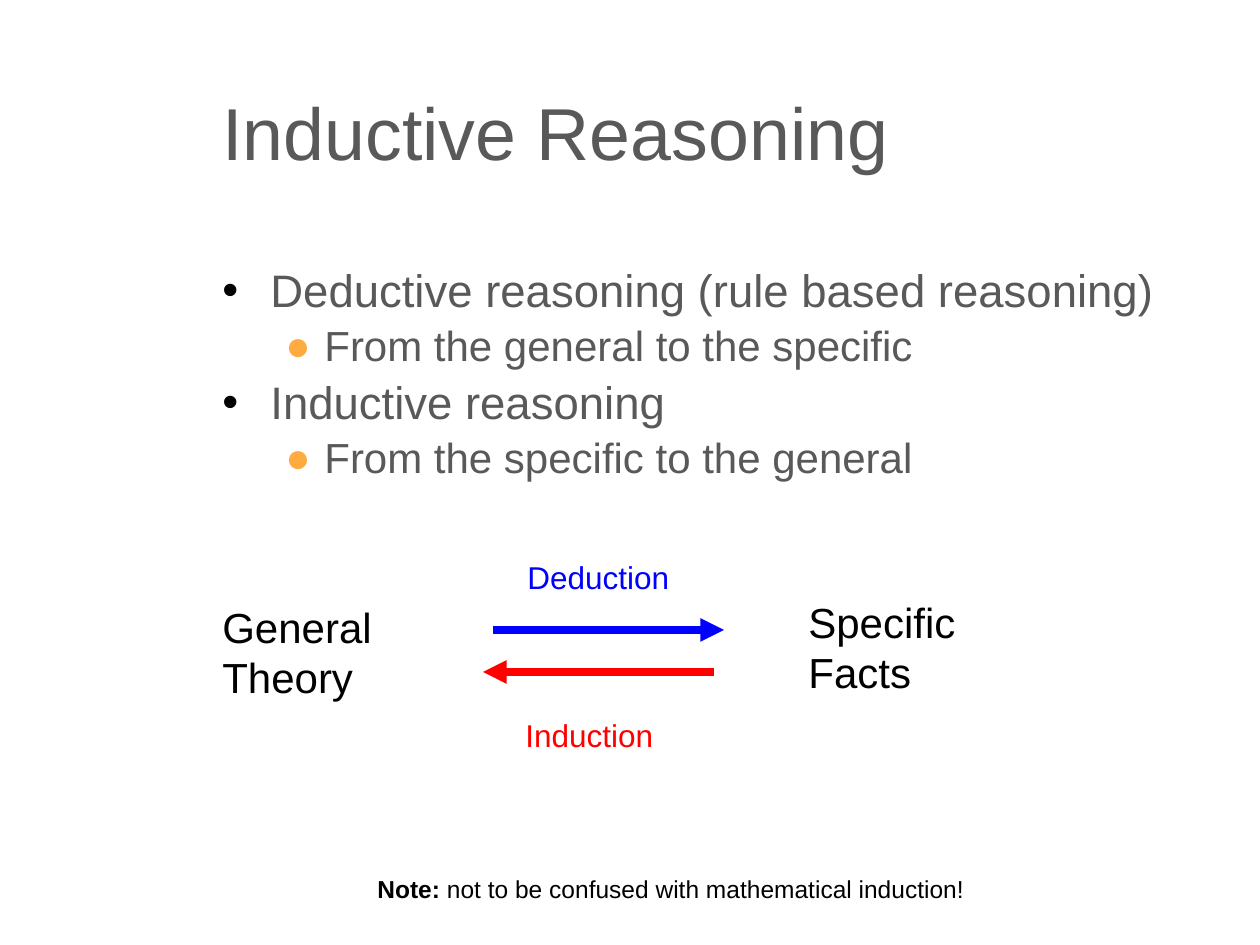
from lxml import etree
from pptx import Presentation
from pptx.dml.color import RGBColor
from pptx.enum.shapes import MSO_CONNECTOR
from pptx.enum.text import MSO_ANCHOR
from pptx.oxml.ns import qn
from pptx.util import Emu, Pt

STRAIGHT = MSO_CONNECTOR.STRAIGHT
TOP, MIDDLE = MSO_ANCHOR.TOP, MSO_ANCHOR.MIDDLE
PX = 914400 // 126
FONT = "Arial"
GRAY, BLACK, BLUE, RED, ORANGE = "595959", "000000", "0000FF", "FF0000", "FFAB40"
LEFT = 210

LEVELS = [
    dict(size=26, margin=48, indent=-48, before=5.2, char="•", color=BLACK),
    dict(size=24, margin=102, indent=-39, before=4.8, char="●", color=ORANGE),
]
OUTLINE = [
    (0, "Deductive reasoning (rule based reasoning)"),
    (1, "From the general to the specific"),
    (0, "Inductive reasoning"),
    (1, "From the specific to the general"),
]


def px(n):
    return Emu(n * PX)


def rgb(color):
    return RGBColor.from_string(color)


def add_run(p, text, size=24, color=BLACK, bold=False):
    r = p.add_run()
    r.text = text
    r.font.name = FONT
    r.font.size = Pt(size)
    r.font.bold = bold
    r.font.color.rgb = rgb(color)


def add_frame(slide, x, y, w, h, anchor=TOP):
    tf = slide.shapes.add_textbox(px(x), px(y), px(w), px(h)).text_frame
    tf.word_wrap = True
    tf.vertical_anchor = anchor
    return tf


def add_text(slide, text, x, y, w, h, anchor=TOP, **fmt):
    tf = add_frame(slide, x, y, w, h, anchor)
    for i, line in enumerate(text.split("\n")):
        p = tf.add_paragraph() if i else tf.paragraphs[0]
        add_run(p, line, **fmt)


def set_bullet(p, margin, indent, char, color):
    pPr = p._p.get_or_add_pPr()
    pPr.set("marL", str(px(margin)))
    pPr.set("indent", str(px(indent)))
    clr = etree.SubElement(pPr, qn("a:buClr"))
    etree.SubElement(clr, qn("a:srgbClr"), val=color)
    etree.SubElement(pPr, qn("a:buFont"), typeface=FONT)
    etree.SubElement(pPr, qn("a:buChar"), char=char)


def add_outline(slide, items, x, y, w, h):
    tf = add_frame(slide, x, y, w, h)
    for i, (level, text) in enumerate(items):
        style = LEVELS[level]
        p = tf.add_paragraph() if i else tf.paragraphs[0]
        p.level = level
        p.line_spacing = 0.9
        p.space_before = Pt(style["before"] if i else 0)
        set_bullet(p, style["margin"], style["indent"], style["char"], style["color"])
        add_run(p, text, size=style["size"], color=GRAY)


def add_arrow(slide, x1, x2, y, color):
    sp = slide.shapes.add_connector(STRAIGHT, px(x1), px(y), px(x2), px(y))
    sp.line.color.rgb = rgb(color)
    sp.line.width = Pt(4.5)
    etree.SubElement(sp.line._get_or_add_ln(), qn("a:tailEnd"), type="triangle")
    etree.SubElement(sp._element.spPr, qn("a:effectLst"))


def add_note(slide, label, text, x, y, w, h):
    p = add_frame(slide, x, y, w, h).paragraphs[0]
    add_run(p, label, size=14, bold=True)
    add_run(p, text, size=14)


def main():
    prs = Presentation()
    prs.slide_width, prs.slide_height = px(1260), px(945)
    slide = prs.slides.add_slide(prs.slide_layouts[6])

    add_text(slide, "Inductive Reasoning", LEFT, 26, 966, 210,
             anchor=MIDDLE, size=42, color=GRAY)
    add_outline(slide, OUTLINE, LEFT, 262, 1018, 231)

    add_text(slide, "General\nTheory", LEFT, 595, 214, 113)
    add_text(slide, "Specific\nFacts", 796, 590, 198, 113)
    add_arrow(slide, 493, 724, 630, BLUE)
    add_arrow(slide, 714, 483, 672, RED)
    add_text(slide, "Deduction", 515, 552, 168, 50, size=18, color=BLUE)
    add_text(slide, "Induction", 513, 710, 154, 50, size=18, color=RED)

    add_note(slide, "Note:", " not to be confused with mathematical induction!",
             365, 868, 658, 35)
    prs.save("out.pptx")


if __name__ == "__main__":
    main()
